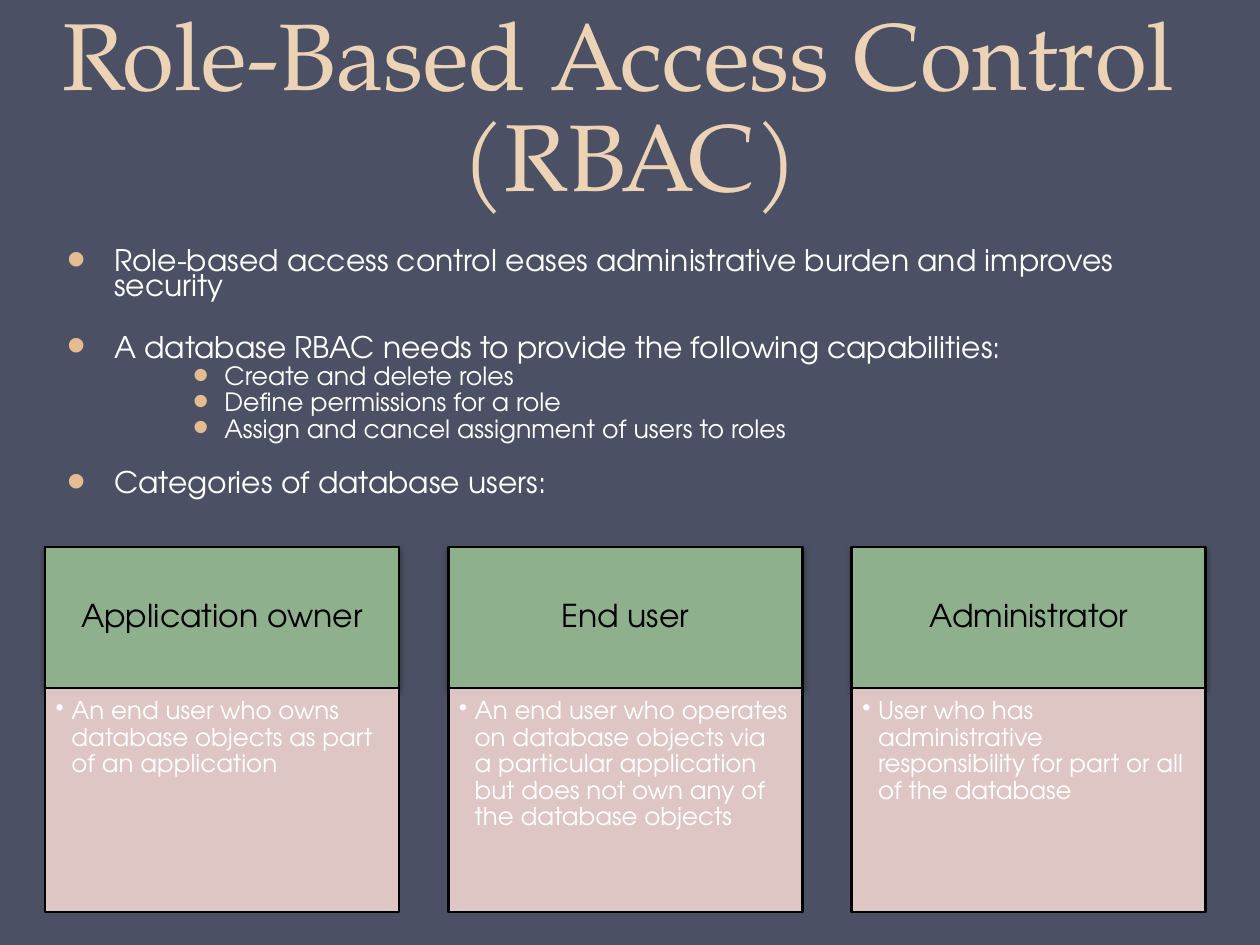
from dataclasses import dataclass

from lxml import etree
from pptx import Presentation
from pptx.dml.color import RGBColor
from pptx.enum import shapes, text
from pptx.oxml.ns import qn
from pptx.util import Pt


@dataclass(frozen=True)
class Theme:
    """Colours, fonts and type sizes of the slide."""
    background: str = "4B5064"
    title: str = "EDD3B6"
    bullet: str = "E3BC92"
    light: str = "FFFFFF"
    dark: str = "000000"
    header: str = "8FB08C"
    card: str = "EED3D0"
    title_font: str = "TeX Gyre Pagella"
    body_font: str = "TeX Gyre Adventor"
    title_size: float = 54
    heading_size: float = 18
    list_size: float = 17
    sub_size: float = 14.4
    card_size: float = 14


T = Theme()

BULLETS = [
    (0, "Role-based access control eases administrative burden and improves security", 0),
    (0, "A database RBAC needs to provide the following capabilities:", 21),
    (2, "Create and delete roles", 3),
    (2, "Define permissions for a role", 3),
    (2, "Assign and cancel assignment of users to roles", 3),
    (0, "Categories of database users:", 18),
]

USERS = [
    ("Application owner", "An end user who owns database objects as part of an application"),
    ("End user", "An end user who operates on database objects via a particular "
                 "application but does not own any of the database objects"),
    ("Administrator", "User who has administrative responsibility for part or all of the database"),
]


def rgb(value):
    """Return a colour object for a hex string."""
    return RGBColor.from_string(value)


def add_xml(parent, tag, **attrs):
    """Append a DrawingML element and return it."""
    return etree.SubElement(parent, qn(tag), {k: str(v) for k, v in attrs.items()})


def style(p, size, color, font=T.body_font):
    """Format every run of a paragraph."""
    for r in p.runs:
        r.font.size, r.font.name = Pt(size), font
        r.font.color.rgb = rgb(color)


def set_bullet(p, left, hang, color=None, percent=100):
    """Give a paragraph a hanging round bullet."""
    pPr = p._p.get_or_add_pPr()
    pPr.set("marL", str(Pt(left)))
    pPr.set("indent", str(-Pt(hang)))
    if color:
        add_xml(add_xml(pPr, "a:buClr"), "a:srgbClr", val=color)
    add_xml(pPr, "a:buSzPct", val=percent * 1000)
    add_xml(pPr, "a:buChar", char="•")


def place(sp, left, top, width, height):
    """Move and size a shape, in points."""
    sp.left, sp.top, sp.width, sp.height = map(Pt, (left, top, width, height))


def set_insets(tf, left, top, right, bottom):
    """Set the text margins, in points."""
    tf.margin_left, tf.margin_top = Pt(left), Pt(top)
    tf.margin_right, tf.margin_bottom = Pt(right), Pt(bottom)


def fill_title(sp):
    """Write the slide title."""
    place(sp, 0, -2, 720, 126)
    tf = sp.text_frame
    tf.auto_size = text.MSO_AUTO_SIZE.NONE
    tf.vertical_anchor = text.MSO_ANCHOR.BOTTOM
    p = tf.paragraphs[0]
    p.text = "Role-Based Access Control \v(RBAC)"
    p.alignment, p.line_spacing = text.PP_ALIGN.CENTER, Pt(58)
    style(p, T.title_size, T.title, T.title_font)


def fill_list(sp):
    """Write the two-level bullet list."""
    place(sp, 31, 140, 648, 160.5)
    tf = sp.text_frame
    tf.auto_size = text.MSO_AUTO_SIZE.NONE
    tf.text = "\n".join(line for _, line, _ in BULLETS)
    for p, (level, _, before) in zip(tf.paragraphs, BULLETS):
        p.level, p.line_spacing, p.space_before = level, 0.7, Pt(before)
        left, hang, size = (90, 18, T.sub_size) if level else (27, 27, T.list_size)
        set_bullet(p, left, hang, T.bullet, 180)
        style(p, size, T.light)


def add_panel(slide, box, color, label):
    """Add an outlined rectangle with text and return it."""
    sp = slide.shapes.add_shape(shapes.MSO_SHAPE.RECTANGLE, *map(Pt, box))
    sp.shadow.inherit = False
    sp.fill.solid()
    sp.fill.fore_color.rgb = rgb(color)
    sp.line.color.rgb, sp.line.width = rgb(T.dark), Pt(1.5)
    sp.text_frame.word_wrap = True
    p = sp.text_frame.paragraphs[0]
    p.text, p.line_spacing = label, 0.9
    return sp


def add_shadow(sp):
    """Put a soft shadow below a shape."""
    effects = sp._element.spPr.find(qn("a:effectLst"))
    shadow = add_xml(effects, "a:outerShdw", blurRad=Pt(3.1), dist=Pt(1.8),
                     dir=5400000, rotWithShape=0)
    color = add_xml(shadow, "a:srgbClr", val=T.dark)
    add_xml(color, "a:alpha", val=35000)


def add_user_card(slide, left, heading, description):
    """Add one user category: a header above its description."""
    width, top, split, bottom = 202.3, 312.5, 393.1, 521.2
    sp = add_panel(slide, (left, top, width, split - top), T.header, heading)
    add_shadow(sp)
    sp.text_frame.vertical_anchor = text.MSO_ANCHOR.MIDDLE
    set_insets(sp.text_frame, 10, 5.8, 10, 5.8)
    p = sp.text_frame.paragraphs[0]
    p.alignment = text.PP_ALIGN.CENTER
    style(p, T.heading_size, T.dark)

    sp = add_panel(slide, (left, split, width, bottom - split), T.card, description)
    color = sp._element.spPr.find(qn("a:solidFill"))[0]
    add_xml(color, "a:alpha", val=90000)
    sp.text_frame.vertical_anchor = text.MSO_ANCHOR.TOP
    set_insets(sp.text_frame, 6, 6, 8, 8.6)
    p = sp.text_frame.paragraphs[0]
    p.alignment = text.PP_ALIGN.LEFT
    set_bullet(p, 9, 9)
    style(p, T.card_size, T.light)


def main():
    """Build and save the slide."""
    prs = Presentation()
    prs.slide_width, prs.slide_height = Pt(720), Pt(540)
    slide = prs.slides.add_slide(prs.slide_layouts[1])
    slide.background.fill.solid()
    slide.background.fill.fore_color.rgb = rgb(T.background)
    fill_title(slide.shapes.title)
    fill_list(slide.placeholders[1])
    for i, (heading, description) in enumerate(USERS):
        add_user_card(slide, 25.7 + i * 230.5, heading, description)
    prs.save("out.pptx")


if __name__ == "__main__":
    main()
